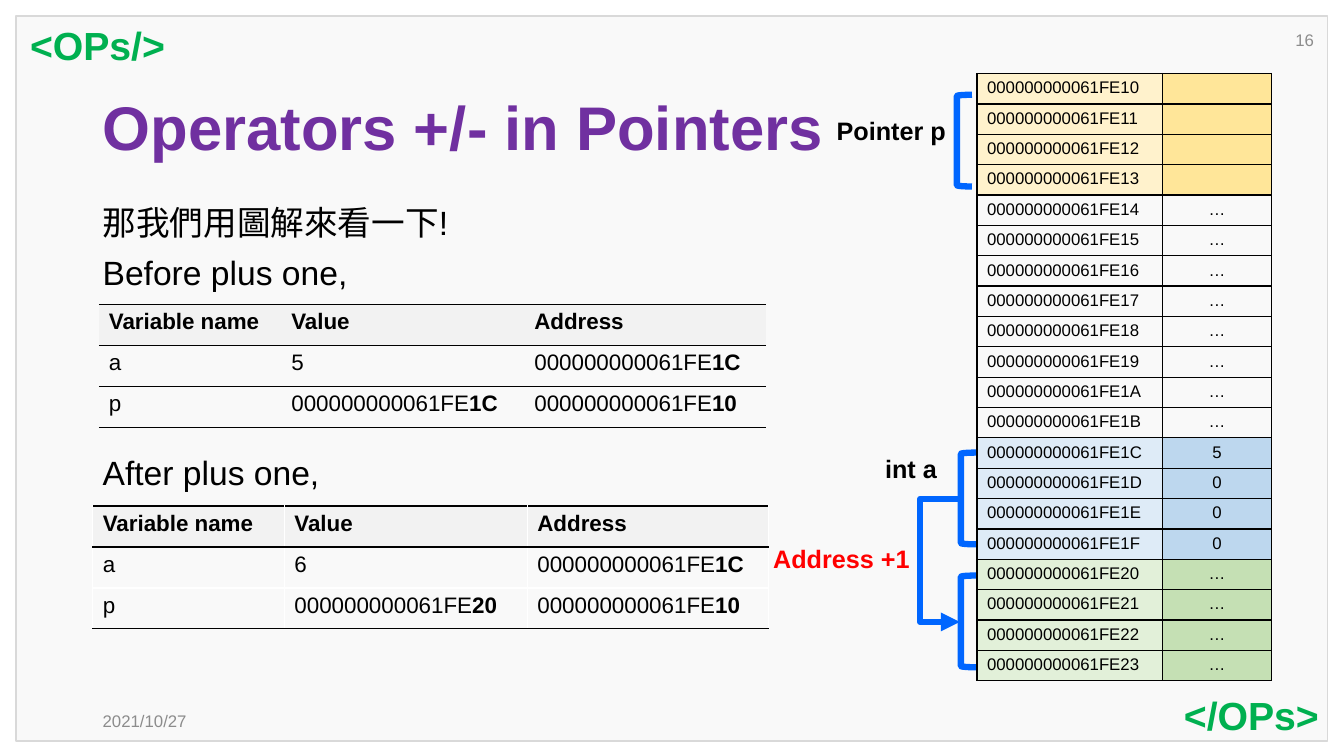
from dataclasses import dataclass

from lxml import etree
from pptx import Presentation
from pptx.dml.color import RGBColor
from pptx.enum import shapes, text
from pptx.oxml.ns import qn
from pptx.util import Emu, Pt

PX = 9144  # 100 px to the inch
NO_TABLE_STYLE = "{2D5ABB26-0587-4C30-8999-92F81FD0307C}"
SIDES = {"left": "a:lnL", "right": "a:lnR", "top": "a:lnT", "bottom": "a:lnB"}
PREFIX = "000000000061FE"


@dataclass(frozen=True)
class Theme:
    font: str = "Arial"
    ink: str = "000000"
    paper: str = "F9F9F9"
    white: str = "FFFFFF"
    frame: str = "D9D9D9"
    muted: str = "8C8C8C"
    title: str = "7030A0"
    tag: str = "00B050"
    accent: str = "0066FF"
    alert: str = "FF0000"
    header: str = "F2F2F2"
    pointer: tuple = ("FFF2CC", "FFE699")
    integer: tuple = ("DEEBF7", "BDD7EE")
    following: tuple = ("E2F0D9", "C5E0B4")
    title_size: int = 44
    tag_size: int = 28
    body_size: int = 24
    label_size: int = 18
    table_size: int = 16
    small_size: int = 12


THEME = Theme()


def px(length):
    return Emu(length * PX)


def px_all(lengths):
    return [px(length) for length in lengths]


def rgb(colour):
    return RGBColor.from_string(colour)


def write(para, spans, size, colour=THEME.ink, bold=False, align=None,
          line_spacing=None, before=None):
    """Fill a paragraph; a tuple of spans has its last one in bold."""
    if isinstance(spans, str):
        spans = (spans,)
    if align is not None:
        para.alignment = align
    if line_spacing:
        para.line_spacing = line_spacing
    if before is not None:
        para.space_before = Pt(before)
    if not any(spans):
        etree.SubElement(para._p, qn("a:endParaRPr"), sz=str(size * 100))
        return
    for index, words in enumerate(spans):
        span = para.add_run()
        span.text = words
        span.font.name = THEME.font
        span.font.size = Pt(size)
        span.font.bold = bold or index > 0
        span.font.color.rgb = rgb(colour)


def add_text(page, place, words, wrap=True, anchor=text.MSO_ANCHOR.TOP, **style):
    box = page.shapes.add_textbox(*px_all(place))
    frame = box.text_frame
    frame.word_wrap = wrap
    frame.vertical_anchor = anchor
    if not wrap:
        frame.auto_size = text.MSO_AUTO_SIZE.SHAPE_TO_FIT_TEXT
    write(frame.paragraphs[0], words, **style)
    return frame


def add_frame(page, place):
    frame = page.shapes.add_shape(shapes.MSO_SHAPE.RECTANGLE, *px_all(place))
    frame.shadow.inherit = False
    frame.fill.solid()
    frame.fill.fore_color.rgb = rgb(THEME.paper)
    frame.line.color.rgb = rgb(THEME.frame)
    frame.line.width = Pt(1)


def add_bracket(page, left, top):
    """Draw a bracket that spans four memory rows."""
    bracket = page.shapes.add_shape(
        shapes.MSO_SHAPE.LEFT_BRACKET, *px_all((left, top, 15, 91)))
    bracket.shadow.inherit = False
    bracket.fill.background()
    bracket.line.color.rgb = rgb(THEME.accent)
    bracket.line.width = Pt(4.5)


def add_elbow_arrow(page, begin, end, turn_x):
    """Draw an arrow that leaves sideways, turns at turn_x and comes back."""
    arrow = page.shapes.add_connector(
        shapes.MSO_CONNECTOR.ELBOW, *px_all(begin + end))
    arrow.line.color.rgb = rgb(THEME.accent)
    arrow.line.width = Pt(4.5)
    etree.SubElement(arrow.line._get_or_add_ln(), qn("a:tailEnd"), type="triangle")
    properties = arrow._element.spPr
    etree.SubElement(properties, qn("a:effectLst"))
    bend = 100000 * (begin[0] - turn_x) // (begin[0] - end[0])
    guides = properties.find(qn("a:prstGeom")).get_or_add_avLst()
    etree.SubElement(guides, qn("a:gd"), name="adj1", fmla=f"val {bend}")


def set_borders(cell, colours):
    properties = cell._tc.get_or_add_tcPr()
    for side, tag in SIDES.items():
        if colours.get(side):
            line = etree.SubElement(properties, qn(tag), w=str(Pt(1)))
            fill = etree.SubElement(line, qn("a:solidFill"))
            etree.SubElement(fill, qn("a:srgbClr"), val=colours[side])


def set_fill(cell, colour):
    if colour:
        cell.fill.solid()
        cell.fill.fore_color.rgb = rgb(colour)
    else:
        cell.fill.background()


def add_table(page, left, top, widths, height, row_count):
    shape = page.shapes.add_table(
        row_count, len(widths), *px_all((left, top, sum(widths), height)))
    table = shape.table
    table.first_row = table.horz_banding = False
    table._tbl.tblPr.find(qn("a:tableStyleId")).text = NO_TABLE_STYLE
    for column, width in zip(table.columns, widths):
        column.width = px(width)
    for row in table.rows:
        row.height = Emu(px(height) // row_count)
    return table


def add_variable_table(page, left, top, widths, a_value, p_suffix, grid=None):
    rows = [("Variable name", "Value", "Address"),
            ("a", a_value, (PREFIX, "1C")),
            ("p", (PREFIX, p_suffix), (PREFIX, "10"))]
    rules = [(THEME.ink, THEME.ink), (THEME.ink, grid), (grid, THEME.ink)]
    table = add_table(page, left, top, widths, 122, len(rows))
    for r, (row, (upper, lower)) in enumerate(zip(rows, rules)):
        for c, words in enumerate(row):
            cell = table.cell(r, c)
            set_borders(cell, {"left": grid, "right": grid,
                               "top": upper, "bottom": lower})
            set_fill(cell, THEME.header if r == 0 else None)
            write(cell.text_frame.paragraphs[0], words,
                  size=THEME.table_size, bold=r == 0)


def add_memory_table(page):
    values = [""] * 4 + ["…"] * 8 + ["5", "0", "0", "0"] + ["…"] * 4
    plain = (None, None)
    bands = [THEME.pointer, plain, plain, THEME.integer, THEME.following]
    table = add_table(page, 969, 73, (184, 108), 603, len(values))
    for r, value in enumerate(values):
        address = f"{PREFIX}{0x10 + r:X}"
        for c, (words, align) in enumerate(
                ((address, None), (value, text.PP_ALIGN.CENTER))):
            cell = table.cell(r, c)
            set_borders(cell, dict.fromkeys(SIDES, THEME.ink))
            set_fill(cell, bands[r // 4][c])
            write(cell.text_frame.paragraphs[0], words,
                  size=THEME.small_size, align=align)


def add_body(page):
    style = {"size": THEME.body_size, "line_spacing": 0.9}
    body = add_text(page, (92, 200, 674, 502), "那我們用圖解來看一下!",
                    before=10, **style)
    for words, before in (("Before plus one,", 10), ("After plus one,", 117)):
        write(body.add_paragraph(), words, before=before, **style)


def main():
    deck = Presentation()
    deck.slide_width, deck.slide_height = px(1333), px(750)
    page = deck.slides.add_slide(deck.slide_layouts[6])
    middle, right = text.MSO_ANCHOR.MIDDLE, text.PP_ALIGN.RIGHT

    add_frame(page, (16, 16, 1301, 719))
    note = {"size": THEME.small_size, "colour": THEME.muted, "anchor": middle}
    add_text(page, (92, 695, 106, 40), "2021/10/27", **note)
    add_text(page, (1271, 20, 42, 40), "16", align=right, **note)
    add_text(page, (92, 74, 742, 111), "Operators +/- in Pointers",
             size=THEME.title_size, colour=THEME.title, bold=True,
             anchor=middle, line_spacing=0.9)
    tag = {"size": THEME.tag_size, "colour": THEME.tag, "bold": True, "wrap": False}
    add_text(page, (20, 16, 156, 57), "<OPs/>", **tag)
    add_text(page, (1162, 681, 156, 57), "</OPs>", align=right, **tag)

    add_body(page)
    add_variable_table(page, 98, 302, (181, 241, 240), "5", "1C")
    add_variable_table(page, 92, 502, (190, 241, 239), "6", "20", grid=THEME.white)

    label = {"size": THEME.label_size, "bold": True, "wrap": False}
    add_text(page, (820, 109, 130, 40), "Pointer p", **label)
    add_text(page, (868, 445, 72, 40), "int a", **label)
    add_text(page, (757, 534, 157, 40), "Address +1", colour=THEME.alert, **label)
    for left, top in ((949, 94), (953, 449), (953, 571)):
        add_bracket(page, left, top)
    add_elbow_arrow(page, (953, 495), (952, 617), turn_x=912)
    add_memory_table(page)
    deck.save("out.pptx")


if __name__ == "__main__":
    main()
